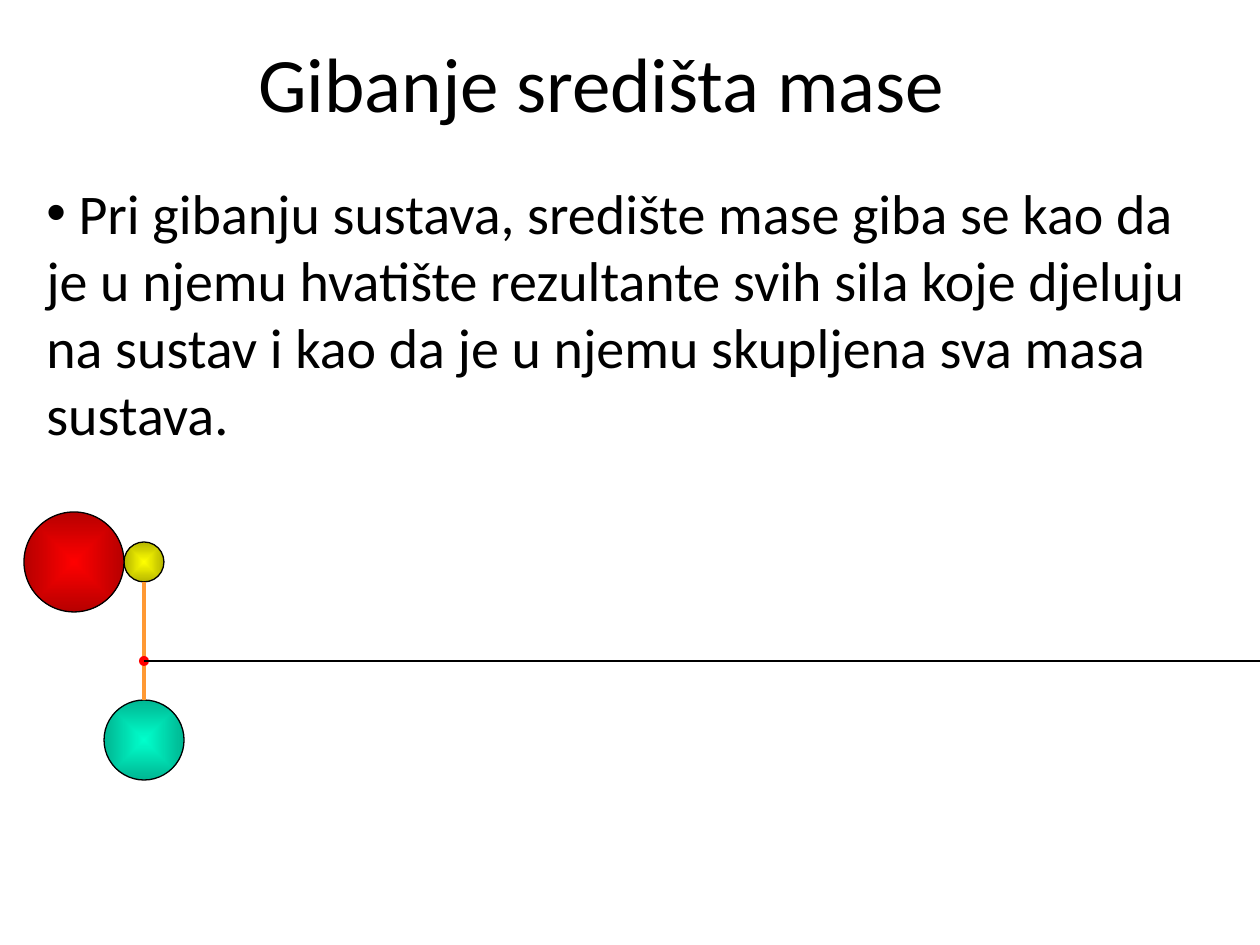
from lxml import etree
from pptx import Presentation
from pptx.dml.color import RGBColor
from pptx.enum.shapes import MSO_CONNECTOR, MSO_SHAPE
from pptx.enum.text import MSO_ANCHOR, MSO_AUTO_SIZE
from pptx.oxml.ns import qn
from pptx.util import Pt

PX = 914400 / 126
BLACK = RGBColor(0x00, 0x00, 0x00)
RED = RGBColor(0xFF, 0x00, 0x00)
DARK_RED = RGBColor(0xB6, 0x00, 0x00)
YELLOW = RGBColor(0xFF, 0xFF, 0x00)
DARK_YELLOW = RGBColor(0xB6, 0xB6, 0x00)
GREEN = RGBColor(0x00, 0xFF, 0xCC)
DARK_GREEN = RGBColor(0x00, 0xB6, 0x92)
ORANGE = RGBColor(0xFF, 0x99, 0x33)


def px(*lengths):
    return [round(length * PX) for length in lengths]


def add_circle(x, y, diameter):
    shape = slide.shapes.add_shape(
        MSO_SHAPE.OVAL, *px(x - diameter / 2, y - diameter / 2, diameter, diameter))
    shape.shadow.inherit = False
    return shape


presentation = Presentation()
presentation.slide_width, presentation.slide_height = px(1260, 945)
slide = presentation.slides.add_slide(presentation.slide_layouts[6])

# Title and body text: box, wrap, size, bullet, wording
texts = [
    ((246, 29, 736, 106), False, 44, False, "Gibanje središta mase"),
    ((34, 170, 1186, 285), True, 32, True,
     " Pri gibanju sustava, središte mase giba se kao da je u njemu hvatište "
     "rezultante svih sila koje djeluju na sustav i kao da je u njemu "
     "skupljena sva masa sustava."),
]
for box, wrap, size, bullet, wording in texts:
    frame = slide.shapes.add_textbox(*px(*box)).text_frame
    frame_format = {"word_wrap": wrap, "vertical_anchor": MSO_ANCHOR.MIDDLE,
                    "auto_size": MSO_AUTO_SIZE.SHAPE_TO_FIT_TEXT}
    for name, value in frame_format.items():
        setattr(frame, name, value)
    paragraph = frame.paragraphs[0]
    run = paragraph.add_run()
    run.text = wording
    for name, value in {"name": "Calibri", "size": Pt(size)}.items():
        setattr(run.font, name, value)
    run.font.color.rgb = BLACK
    if bullet:
        properties = paragraph._p.get_or_add_pPr()
        etree.SubElement(properties, qn("a:buFont"), typeface="Arial")
        etree.SubElement(properties, qn("a:buChar"), char="•")

# Balls, shaded from the centre: centre x, centre y, diameter, inner, outer
balls = [
    (144, 740, 80, GREEN, DARK_GREEN),
    (144, 562, 40, YELLOW, DARK_YELLOW),
    (74, 562, 100, RED, DARK_RED),
]
for x, y, diameter, inner, outer in balls:
    ball = add_circle(x, y, diameter)
    ball.line.color.rgb = BLACK
    ball.line.width = Pt(0.75)
    ball.fill.gradient()
    for stop, color, position in zip(ball.fill.gradient_stops, (inner, outer), (0, 1)):
        stop.color.rgb = color
        stop.position = position
    gradient = ball._element.spPr.find(qn("a:gradFill"))
    gradient.remove(gradient.find(qn("a:lin")))
    shading = etree.SubElement(gradient, qn("a:path"), {"path": "shape"})
    etree.SubElement(shading, qn("a:fillToRect"),
                     dict.fromkeys("ltrb", "50000"))

# Rod between the balls, and the straight track of the centre of mass
lines = [
    ((144, 700, 144, 582), ORANGE, 2.25),
    ((144, 661, 1414, 661), BLACK, 0.75),
]
for ends, color, width in lines:
    line = slide.shapes.add_connector(MSO_CONNECTOR.STRAIGHT, *px(*ends))
    line.line.color.rgb = color
    line.line.width = Pt(width)
    etree.SubElement(line._element.spPr, qn("a:effectLst"))
    if color == ORANGE:
        # Centre of mass, under the track
        center = add_circle(144, 661, 10)
        center.fill.solid()
        center.fill.fore_color.rgb = RED
        center.line.fill.background()

presentation.save("out.pptx")
